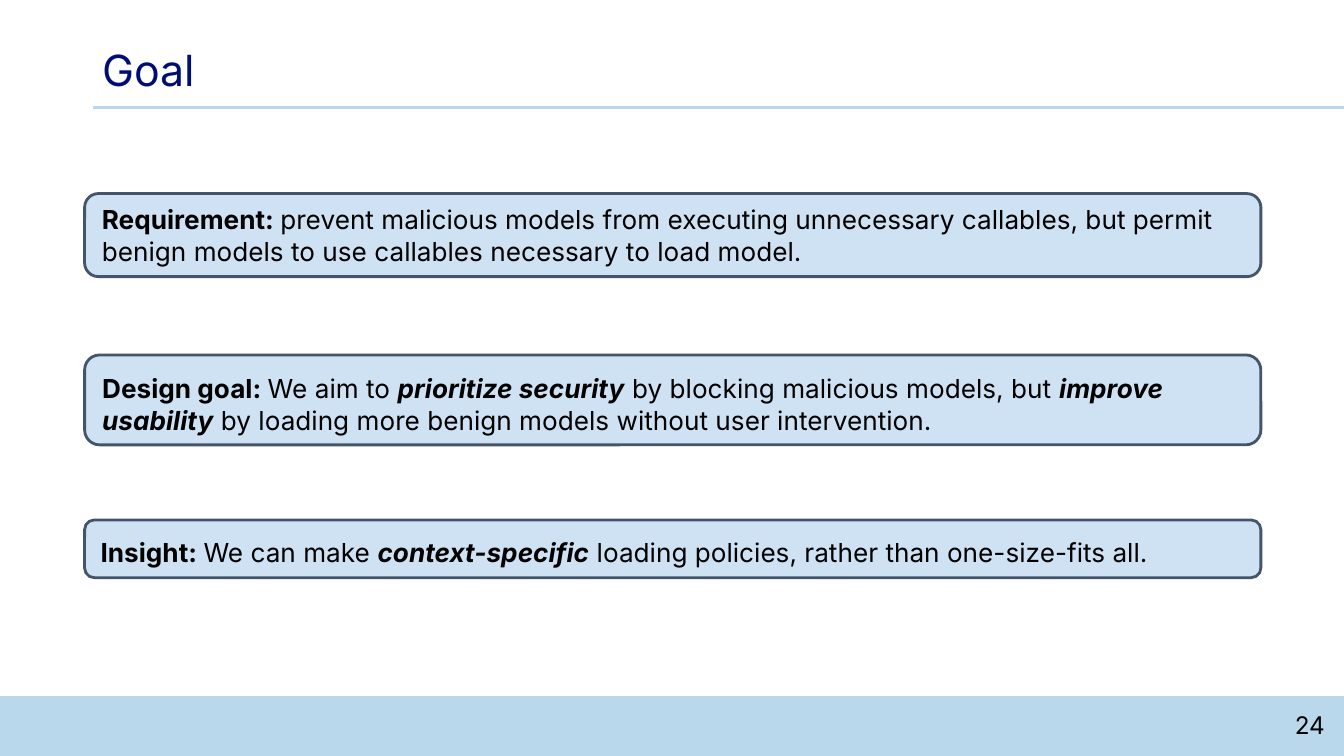
from dataclasses import dataclass
from typing import Any, NamedTuple

import lxml.etree
import pptx
import pptx.dml.color
import pptx.enum.shapes
import pptx.enum.text
import pptx.oxml.ns
import pptx.util

Cm = pptx.util.Cm
Pt = pptx.util.Pt
Anchor = pptx.enum.text.MSO_ANCHOR
Align = pptx.enum.text.PP_ALIGN
Shape = pptx.enum.shapes.MSO_SHAPE


@dataclass(frozen=True)
class Theme:
    font: str = "Inter"
    title_color: str = "000D74"
    text_color: str = "000000"
    band_color: str = "B9D8EB"
    box_fill: str = "CFE2F3"
    box_line: str = "44546A"
    title_size: float = 23
    body_size: float = 14
    number_size: float = 13
    rule_width: float = 1.69
    box_line_width: float = 1.5
    inset: float = 0.25


class Frame(NamedTuple):
    left: float
    top: float
    width: float
    height: float


class Span(NamedTuple):
    text: str
    bold: bool = False
    italic: bool = False


class Statement(NamedTuple):
    top: float
    height: float
    anchor: Any
    spans: tuple[Span, ...]


THEME = Theme()
SLIDE_WIDTH, SLIDE_HEIGHT = 25.4, 14.29
RULE_LEFT, RULE_TOP = 1.75, 2.03
BOX_LEFT, BOX_WIDTH = 1.6, 22.23
BAND = Frame(0, 13.16, SLIDE_WIDTH, 1.13)
TITLE = Frame(RULE_LEFT, 0, SLIDE_WIDTH - RULE_LEFT, 1.91)
NUMBER = Frame(23.77, 13.18, 1.52, 1.09)

STATEMENTS = (
    Statement(3.66, 1.57, Anchor.MIDDLE, (
        Span("Requirement: ", bold=True),
        Span("prevent malicious models from executing unnecessary callables, "
             "but permit benign models to use callables necessary to load model."),
    )),
    Statement(6.71, 1.7, Anchor.TOP, (
        Span("Design goal: ", bold=True),
        Span("We aim to "),
        Span("prioritize security", bold=True, italic=True),
        Span(" by blocking malicious models, but "),
        Span("improve usability", bold=True, italic=True),
        Span(" by loading more benign models without user intervention."),
    )),
    Statement(9.83, 1.09, Anchor.TOP, (
        Span("Insight: ", bold=True),
        Span("We can make "),
        Span("context-specific", bold=True, italic=True),
        Span(" loading policies, rather than one-size-fits all."),
    )),
)


def rgb(color: str) -> pptx.dml.color.RGBColor:
    return pptx.dml.color.RGBColor.from_string(color)


def apply_format(target: Any, values: dict[str, Any]) -> None:
    for name, value in values.items():
        setattr(target, name, value)


def lengths(frame: Frame) -> tuple[Any, ...]:
    return tuple(Cm(value) for value in frame)


def write_text(shape: Any, spans: tuple[Span, ...], size: float, color: str,
               anchor: Any = Anchor.TOP, alignment: Any = Align.LEFT,
               insets: tuple[float, float] = (THEME.inset, THEME.inset)) -> Any:
    side, vertical = (Cm(value) for value in insets)
    text_frame = shape.text_frame
    apply_format(text_frame, {
        "word_wrap": True,
        "auto_size": pptx.enum.text.MSO_AUTO_SIZE.NONE,
        "vertical_anchor": anchor,
        "margin_left": side,
        "margin_right": side,
        "margin_top": vertical,
        "margin_bottom": vertical,
    })
    paragraph = text_frame.paragraphs[0]
    paragraph.alignment = alignment
    for span in spans:
        run = paragraph.add_run()
        run.text = span.text
        apply_format(run.font, {
            "name": THEME.font,
            "size": Pt(size),
            "bold": span.bold,
            "italic": span.italic,
        })
        run.font.color.rgb = rgb(color)
    return paragraph


def add_filled_shape(slide: Any, kind: Any, frame: Frame, color: str) -> Any:
    shape = slide.shapes.add_shape(kind, *lengths(frame))
    shape.shadow.inherit = False
    shape.fill.solid()
    shape.fill.fore_color.rgb = rgb(color)
    shape.line.fill.background()
    return shape


def add_rule(slide: Any) -> None:
    rule = slide.shapes.add_connector(
        pptx.enum.shapes.MSO_CONNECTOR.STRAIGHT,
        Cm(RULE_LEFT), Cm(RULE_TOP), Cm(SLIDE_WIDTH), Cm(RULE_TOP))
    rule.line.color.rgb = rgb(THEME.band_color)
    rule.line.width = Pt(THEME.rule_width)
    lxml.etree.SubElement(rule._element.spPr, pptx.oxml.ns.qn("a:effectLst"))


def add_title(slide: Any, text: str) -> None:
    title = slide.shapes.title
    apply_format(title, dict(zip(Frame._fields, lengths(TITLE))))
    paragraph = write_text(title, (Span(text),), THEME.title_size, THEME.title_color,
                           anchor=Anchor.BOTTOM, insets=(0.18, 0.1))
    paragraph.line_spacing = 0.9


def add_number(slide: Any, text: str) -> None:
    number = slide.shapes.add_textbox(*lengths(NUMBER))
    write_text(number, (Span(text),), THEME.number_size, THEME.text_color,
               alignment=Align.RIGHT)


def add_statement(slide: Any, statement: Statement) -> None:
    frame = Frame(BOX_LEFT, statement.top, BOX_WIDTH, statement.height)
    box = add_filled_shape(slide, Shape.ROUNDED_RECTANGLE, frame, THEME.box_fill)
    box.line.color.rgb = rgb(THEME.box_line)
    box.line.width = Pt(THEME.box_line_width)
    write_text(box, statement.spans, THEME.body_size, THEME.text_color,
               anchor=statement.anchor)


def main() -> None:
    presentation = pptx.Presentation()
    apply_format(presentation, {
        "slide_width": Cm(SLIDE_WIDTH),
        "slide_height": Cm(SLIDE_HEIGHT),
    })
    slide = presentation.slides.add_slide(presentation.slide_layouts[5])
    add_filled_shape(slide, Shape.RECTANGLE, BAND, THEME.band_color)
    add_rule(slide)
    add_title(slide, "Goal")
    add_number(slide, "24")
    for statement in STATEMENTS:
        add_statement(slide, statement)
    presentation.save("out.pptx")


if __name__ == "__main__":
    main()
